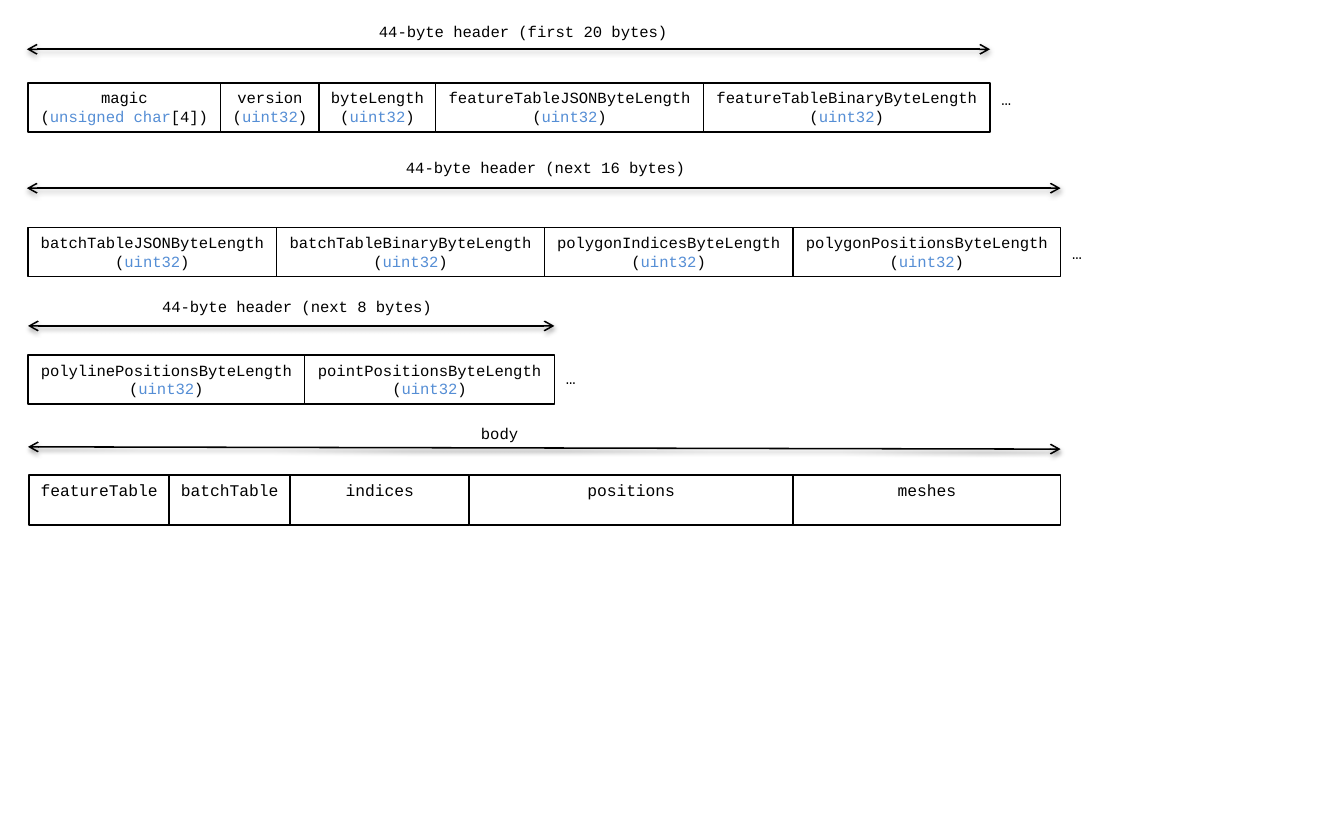
from itertools import pairwise
from lxml import etree
from pptx import Presentation
from pptx.dml.color import RGBColor
from pptx.enum.shapes import MSO_CONNECTOR, MSO_SHAPE
from pptx.enum.text import MSO_ANCHOR, MSO_AUTO_SIZE, PP_ALIGN
from pptx.oxml.ns import qn
from pptx.util import Inches, Pt

RECT = MSO_SHAPE.RECTANGLE
STRAIGHT = MSO_CONNECTOR.STRAIGHT
TOP = MSO_ANCHOR.TOP
CENTER = PP_ALIGN.CENTER
GROW = MSO_AUTO_SIZE.SHAPE_TO_FIT_TEXT

COLORS = {"ink": "000000", "type": "558ED5"}
FONT = "Courier New"
HEADER_SIZE, BODY_SIZE = 10, 10.5
UINT32 = [("(", "ink"), ("uint32", "type"), (")", "ink")]
CHAR4 = [("(", "ink"), ("unsigned char", "type"), ("[4])", "ink")]

HEADER_ROWS = [
    {
        "label": ("44-byte header (first 20 bytes)", 4.67, 0.15),
        "arrow": (0.24, 0.44, 8.84, 0.44),
        "top": 0.74,
        "edges": [0.25, 1.97, 2.85, 3.89, 6.28, 8.84],
        "fields": ["magic", "version", "byteLength", "featureTableJSONByteLength",
                   "featureTableBinaryByteLength"],
        "more_top": 0.75,
    },
    {
        "label": ("44-byte header (next 16 bytes)", 4.87, 1.36),
        "arrow": (0.24, 1.68, 9.47, 1.68),
        "top": 2.03,
        "edges": [0.25, 2.47, 4.86, 7.08, 9.47],
        "fields": ["batchTableJSONByteLength", "batchTableBinaryByteLength",
                   "polygonIndicesByteLength", "polygonPositionsByteLength"],
        "more_top": 2.12,
    },
    {
        "label": ("44-byte header (next 8 bytes)", 2.65, 2.6),
        "arrow": (0.25, 2.91, 4.95, 2.91),
        "top": 3.17,
        "edges": [0.25, 2.72, 4.95],
        "fields": ["polylinePositionsByteLength", "pointPositionsByteLength"],
        "more_top": 3.24,
    },
]
BODY_EDGES = [0.26, 1.51, 2.59, 4.19, 7.08, 9.47]
BODY_PARTS = ["featureTable", "batchTable", "indices", "positions", "meshes"]
WRAPPED = {"indices", "positions", "meshes"}


class Diagram:
    def __init__(self, slide):
        self.slide = slide

    def fill_text(self, s, lines, size, wrap=False):
        tf = s.text_frame
        for name, value in {"word_wrap": wrap, "auto_size": GROW,
                            "vertical_anchor": TOP}.items():
            setattr(tf, name, value)
        for i, line in enumerate(lines):
            p = tf.add_paragraph() if i else tf.paragraphs[0]
            p.alignment = CENTER
            for text, color in line:
                r = p.add_run()
                r.text = text
                for name, value in {"name": FONT, "size": Pt(size)}.items():
                    setattr(r.font, name, value)
                r.font.color.rgb = RGBColor.from_string(COLORS[color])

    def outline(self, line):
        line.color.rgb = RGBColor.from_string(COLORS["ink"])
        line.width = Pt(1)

    def box(self, left, right, top, height, lines, size, wrap=False):
        s = self.slide.shapes.add_shape(
            RECT, Inches(left), Inches(top), Inches(right - left), Inches(height))
        s.shadow.inherit = False
        s.fill.background()
        self.outline(s.line)
        self.fill_text(s, lines, size, wrap)

    def text(self, left, top, width, height, text, size):
        s = self.slide.shapes.add_textbox(
            Inches(left), Inches(top), Inches(width), Inches(height))
        self.fill_text(s, [[(text, "ink")]], size)

    def label(self, text, center, top):
        width = 0.08 * len(text) + 0.3
        self.text(center - width / 2, top, width, 0.27, text, HEADER_SIZE)

    def arrow(self, *ends):
        s = self.slide.shapes.add_connector(STRAIGHT, *map(Inches, ends))
        self.outline(s.line)
        spPr = s.element.spPr
        ln = spPr.find(qn("a:ln"))
        for tag in ("a:headEnd", "a:tailEnd"):
            etree.SubElement(ln, qn(tag), type="arrow")
        effects = etree.SubElement(spPr, qn("a:effectLst"))
        shadow = etree.SubElement(
            effects, qn("a:outerShdw"), blurRad=str(Pt(3.1)), dist=str(Pt(1.6)),
            dir="5400000", rotWithShape="0")
        color = etree.SubElement(shadow, qn("a:srgbClr"), val=COLORS["ink"])
        etree.SubElement(color, qn("a:alpha"), val="38000")


def main():
    prs = Presentation()
    prs.slide_width, prs.slide_height = Inches(12), Inches(7.5)
    diagram = Diagram(prs.slides.add_slide(prs.slide_layouts[6]))

    for row in HEADER_ROWS:
        diagram.arrow(*row["arrow"])
        diagram.label(*row["label"])
        for field, (left, right) in zip(row["fields"], pairwise(row["edges"])):
            kind = CHAR4 if field == "magic" else UINT32
            diagram.box(left, right, row["top"], 0.44,
                        [[(field, "ink")], kind], HEADER_SIZE)
        diagram.text(row["edges"][-1], row["more_top"], 0.29, 0.47, "…", BODY_SIZE)

    diagram.arrow(0.25, 3.99, 9.47, 4.01)
    diagram.label("body", 4.46, 3.74)
    for part, (left, right) in zip(BODY_PARTS, pairwise(BODY_EDGES)):
        diagram.box(left, right, 4.24, 0.45, [[(part, "ink")]], BODY_SIZE,
                    part in WRAPPED)

    prs.save("out.pptx")


if __name__ == "__main__":
    main()
